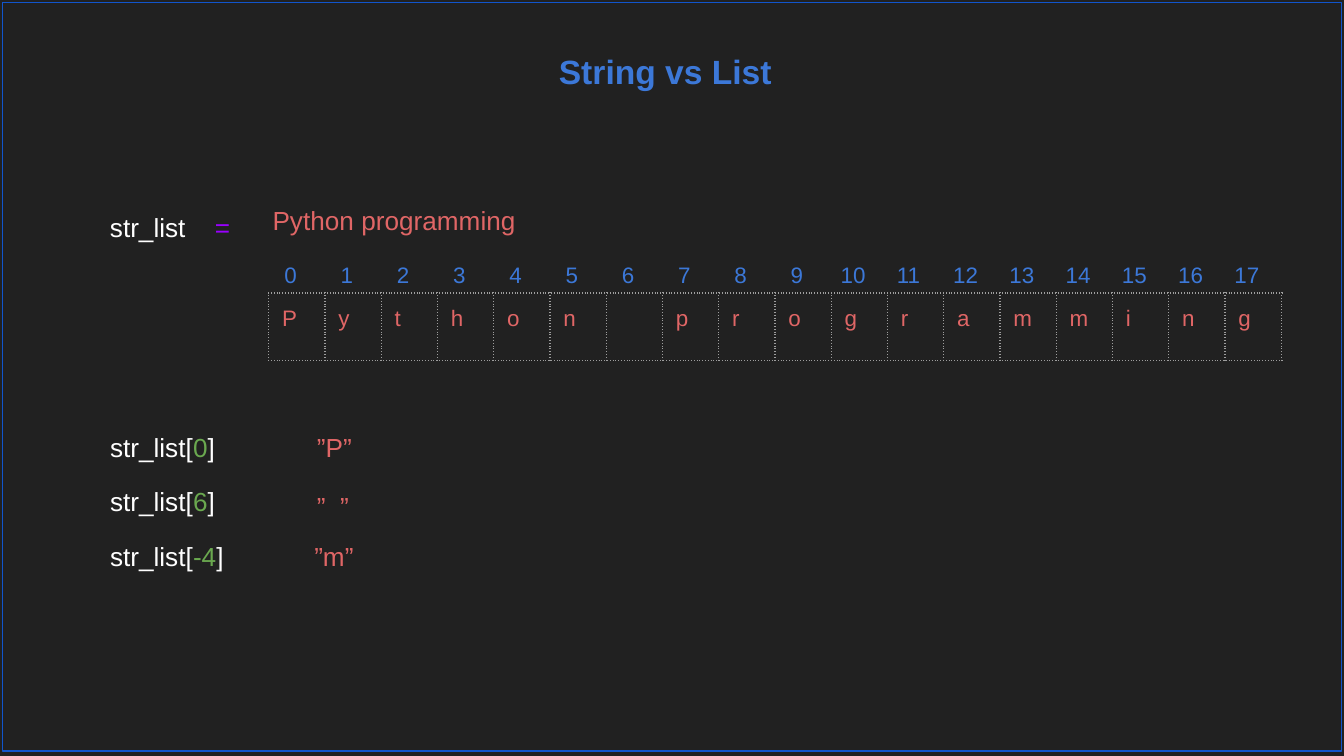
from lxml import etree
from pptx import Presentation
from pptx.dml.color import RGBColor
from pptx.enum.shapes import MSO_SHAPE
from pptx.enum.text import MSO_ANCHOR, MSO_AUTO_SIZE, PP_ALIGN
from pptx.oxml.ns import qn
from pptx.util import Inches, Pt

RECTANGLE = MSO_SHAPE.RECTANGLE
TOP = MSO_ANCHOR.TOP
NO_AUTOFIT = MSO_AUTO_SIZE.NONE
LEFT, CENTER = PP_ALIGN.LEFT, PP_ALIGN.CENTER

COLORS = {
    "background": "212121",
    "frame": "1155CC",
    "heading": "3C78D8",
    "string": "E06666",
    "code": "FFFFFF",
    "operator": "9900FF",
    "number": "6AA84F",
    "grid": "9E9E9E",
}
FONT = "Arial"
INSET = 0.1
PHRASE = "Python programming"
LOOKUPS = [
    ("0", 0, "”P”", 1.54, 0, 0.55),
    ("6", 0.4, "”  ”", 1.54, 0.44, 0.5),
    ("-4", 0.81, "”m”", 1.52, 0.81, 0.55),
]


def rgb(name):
    return RGBColor.from_string(COLORS[name])


def write(paragraph, text, color="code", size=14, bold=False, align=LEFT):
    paragraph.alignment = align
    run = paragraph.add_run()
    run.text = text
    run.font.name = FONT
    run.font.size = Pt(size)
    run.font.bold = bold
    run.font.color.rgb = rgb(color)


def set_insets(target):
    target.margin_left = target.margin_right = Inches(INSET)
    target.margin_top = target.margin_bottom = Inches(INSET)


def add_line(slide, left, top, width, pieces):
    box = slide.shapes.add_textbox(
        Inches(left), Inches(top), Inches(width), Inches(0.44))
    frame = box.text_frame
    frame.word_wrap = True
    set_insets(frame)
    paragraph = frame.paragraphs[0]
    for text, color in pieces:
        write(paragraph, text, color=color)
    return paragraph


def set_borders(cell, color=None):
    properties = cell._tc.get_or_add_tcPr()
    for index, side in enumerate(("lnL", "lnR", "lnT", "lnB")):
        line = etree.Element(qn(f"a:{side}"), w=str(Pt(0.75)))
        if color:
            fill = etree.SubElement(line, qn("a:solidFill"))
            etree.SubElement(fill, qn("a:srgbClr"), val=COLORS[color])
            etree.SubElement(line, qn("a:prstDash"), val="dot")
        else:
            etree.SubElement(line, qn("a:noFill"))
        properties.insert(index, line)


def add_strip(slide, left, top, width, values, color, border=None):
    table = slide.shapes.add_table(
        1, len(values), Inches(left), Inches(top), Inches(width), Inches(0.27)).table
    table.first_row = False
    table.horz_banding = False
    for column, value in enumerate(values):
        table.columns[column].width = Inches(width / len(values))
        cell = table.cell(0, column)
        set_insets(cell)
        cell.fill.background()
        set_borders(cell, border)
        if value.strip():
            write(cell.text_frame.paragraphs[0], value, color=color, size=12)


def add_title(slide, left, top, width, height):
    title = slide.shapes.title
    title.left, title.top = Inches(left), Inches(top)
    title.width, title.height = Inches(width), Inches(height)
    frame = title.text_frame
    frame.vertical_anchor = TOP
    frame.auto_size = NO_AUTOFIT
    set_insets(frame)
    write(frame.paragraphs[0], "String vs List",
          color="heading", size=18, bold=True, align=CENTER)


def add_assignment(slide, left, top, width):
    name = add_line(slide, left, top + 0.05, 1.17,
                    [("str_list\t", "code"), ("=", "operator")])
    stops = etree.SubElement(name._p.get_or_add_pPr(), qn("a:tabLst"))
    etree.SubElement(stops, qn("a:tab"), pos=str(Inches(0.78)), algn="l")
    add_line(slide, left + 1.21, top, 2.16, [(PHRASE, "string")])
    strip_left = left + 1.28
    strip_width = width - 1.28
    add_strip(slide, strip_left, top + 0.76, strip_width, list(PHRASE),
              "string", border="grid")
    indexes = [f"{index:>2}" for index in range(len(PHRASE))]
    add_strip(slide, strip_left - 0.03, top + 0.44, strip_width, indexes, "heading")


def add_lookups(slide, left, top):
    for index, index_drop, result, indent, result_drop, width in LOOKUPS:
        add_line(slide, left, top + index_drop, 1.11,
                 [("str_list[", "code"), (index, "number"), ("]", "code")])
        add_line(slide, left + indent, top + result_drop, width, [(result, "string")])


def add_frame(slide, left, top, width, height):
    frame = slide.shapes.add_shape(
        RECTANGLE, Inches(left), Inches(top), Inches(width), Inches(height))
    frame.shadow.inherit = False
    frame.fill.background()
    frame.line.color.rgb = rgb("frame")
    frame.line.width = Pt(0.75)


def main():
    presentation = Presentation()
    presentation.slide_width = Inches(10)
    presentation.slide_height = Inches(10 * 9 / 16)
    slide = presentation.slides.add_slide(presentation.slide_layouts[5])
    slide.background.fill.solid()
    slide.background.fill.fore_color.rgb = rgb("background")
    add_title(slide, -0.05, 0.28, 10, 0.63)
    add_assignment(slide, 0.72, 1.42, 8.82)
    add_lookups(slide, 0.72, 3.11)
    add_frame(slide, 0.02, 0.02, 9.96, 5.57)
    presentation.save("out.pptx")


if __name__ == "__main__":
    main()
